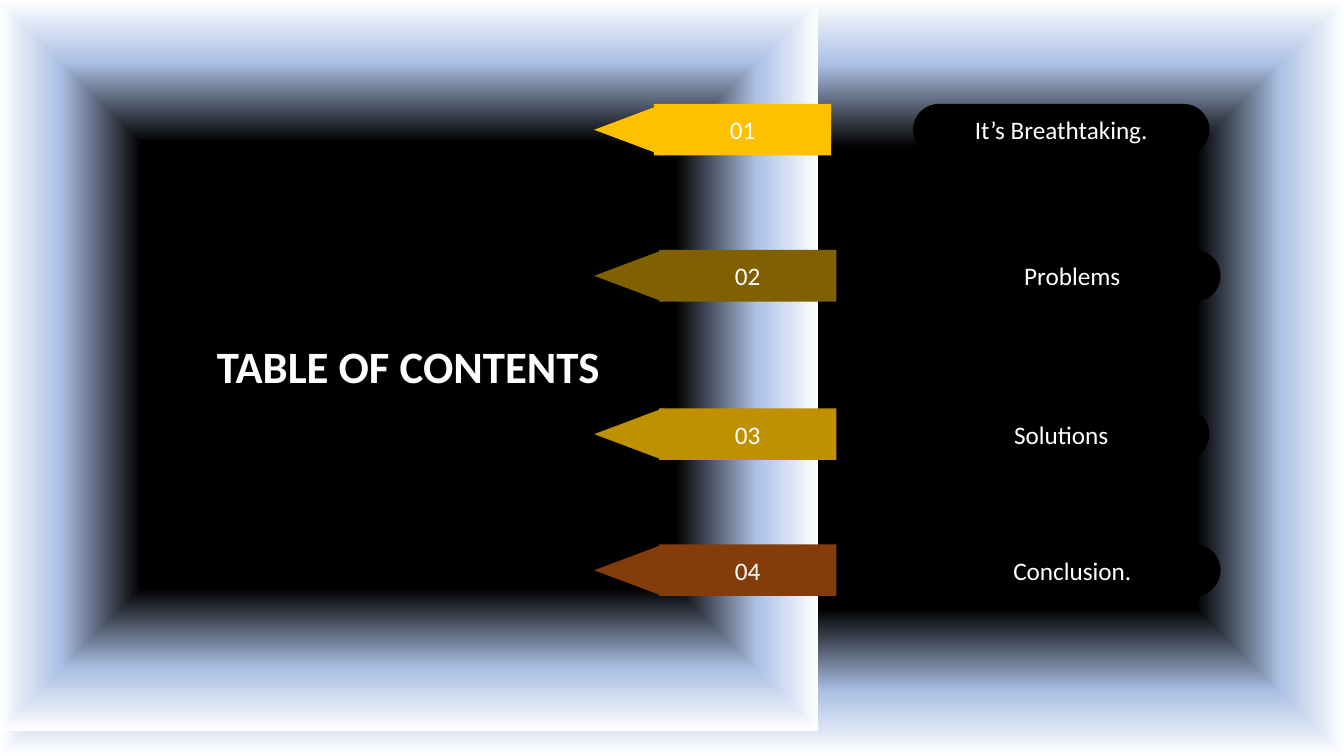
import pptx
import pptx.dml.color
import pptx.enum.shapes
import pptx.enum.text
import pptx.oxml.ns
import pptx.util
from lxml import etree

Cm = pptx.util.Cm
RGBColor = pptx.dml.color.RGBColor
SHAPE = pptx.enum.shapes.MSO_SHAPE
qn = pptx.oxml.ns.qn

BLACK = RGBColor(0x00, 0x00, 0x00)
WHITE = RGBColor(0xFF, 0xFF, 0xFF)
SKY = RGBColor(0xAB, 0xC0, 0xE4)
MIST = RGBColor(0xC7, 0xD5, 0xED)
AMBER = RGBColor(0xFF, 0xC0, 0x00)
OLIVE = RGBColor(0x80, 0x60, 0x00)
GOLD = RGBColor(0xBF, 0x90, 0x00)
RUST = RGBColor(0x84, 0x3C, 0x0B)

GLOW = [(61, BLACK), (83, SKY), (100, WHITE), (100, MIST)]
BAR_HEIGHT = 1.3
CONTENTS = [
    ("01", "It’s Breathtaking.", AMBER, 2.62, 16.48, 23.01),
    ("02", "Problems", OLIVE, 6.3, 16.61, 23.29),
    ("03", "Solutions", GOLD, 10.29, 16.61, 23.01),
    ("04", "Conclusion.", RUST, 13.72, 16.61, 23.29),
]


class ContentsSlide:
    font = "Calibri"
    text_color = WHITE

    def __init__(self, page):
        self.page = page

    def glow(self, fill, owner):
        fill.gradient()
        gradient = next(owner.iter(qn("a:gradFill")))
        for child in list(gradient):
            gradient.remove(child)
        stops = etree.SubElement(gradient, qn("a:gsLst"))
        for position, color in GLOW:
            stop = etree.SubElement(stops, qn("a:gs"), pos=str(position * 1000))
            etree.SubElement(stop, qn("a:srgbClr"), val=str(color))
        shade = etree.SubElement(gradient, qn("a:path"), path="shape")
        etree.SubElement(shade, qn("a:fillToRect"), l="50000", t="50000", r="50000", b="50000")

    def background(self):
        self.glow(self.page.background.fill, self.page.element)

    def shape(self, kind, left, top, width, height, color=None, parent=None):
        shapes = (parent or self.page).shapes
        shape = shapes.add_shape(kind, Cm(left), Cm(top), Cm(width), Cm(height))
        shape.shadow.inherit = False
        shape.line.fill.background()
        if color is not None:
            shape.fill.solid()
            shape.fill.fore_color.rgb = color
        return shape

    def label(self, shape, text, size=18, bold=False):
        frame = shape.text_frame
        frame.word_wrap = True
        frame.vertical_anchor = pptx.enum.text.MSO_ANCHOR.MIDDLE
        para = frame.paragraphs[0]
        para.text = text
        para.alignment = pptx.enum.text.PP_ALIGN.CENTER
        para.font.name = self.font
        para.font.size = pptx.util.Pt(size)
        para.font.bold = bold
        para.font.color.rgb = self.text_color

    def title_panel(self, text):
        panel = self.shape(SHAPE.RECTANGLE, -0.03, 0, 20.65, 18.42)
        self.glow(panel.fill, panel.element)
        self.label(panel, text, size=32, bold=True)

    def number_tag(self, number, color, left, top):
        group = self.page.shapes.add_group_shape()
        bar = self.shape(SHAPE.RECTANGLE, left, top, 4.47, BAR_HEIGHT, color, group)
        self.label(bar, number)
        tip_length = 1.73
        tip_top = top + (BAR_HEIGHT - tip_length) / 2
        tip = self.shape(SHAPE.ISOSCELES_TRIANGLE, 15.19, tip_top, BAR_HEIGHT, tip_length, color, group)
        tip.rotation = 270

    def topic(self, text, left, top):
        pill = self.shape(SHAPE.ROUNDED_RECTANGLE, left, top, 7.47, BAR_HEIGHT, BLACK)
        pill.adjustments[0] = 0.5
        self.label(pill, text)


def main():
    deck = pptx.Presentation()
    deck.slide_width = Cm(33.87)
    deck.slide_height = Cm(19.05)
    slide = ContentsSlide(deck.slides.add_slide(deck.slide_layouts[6]))
    slide.background()
    slide.title_panel("TABLE OF CONTENTS")
    for number, topic, color, top, tag_left, topic_left in CONTENTS:
        slide.number_tag(number, color, tag_left, top)
        slide.topic(topic, topic_left, top)
    deck.save("out.pptx")


if __name__ == "__main__":
    main()
